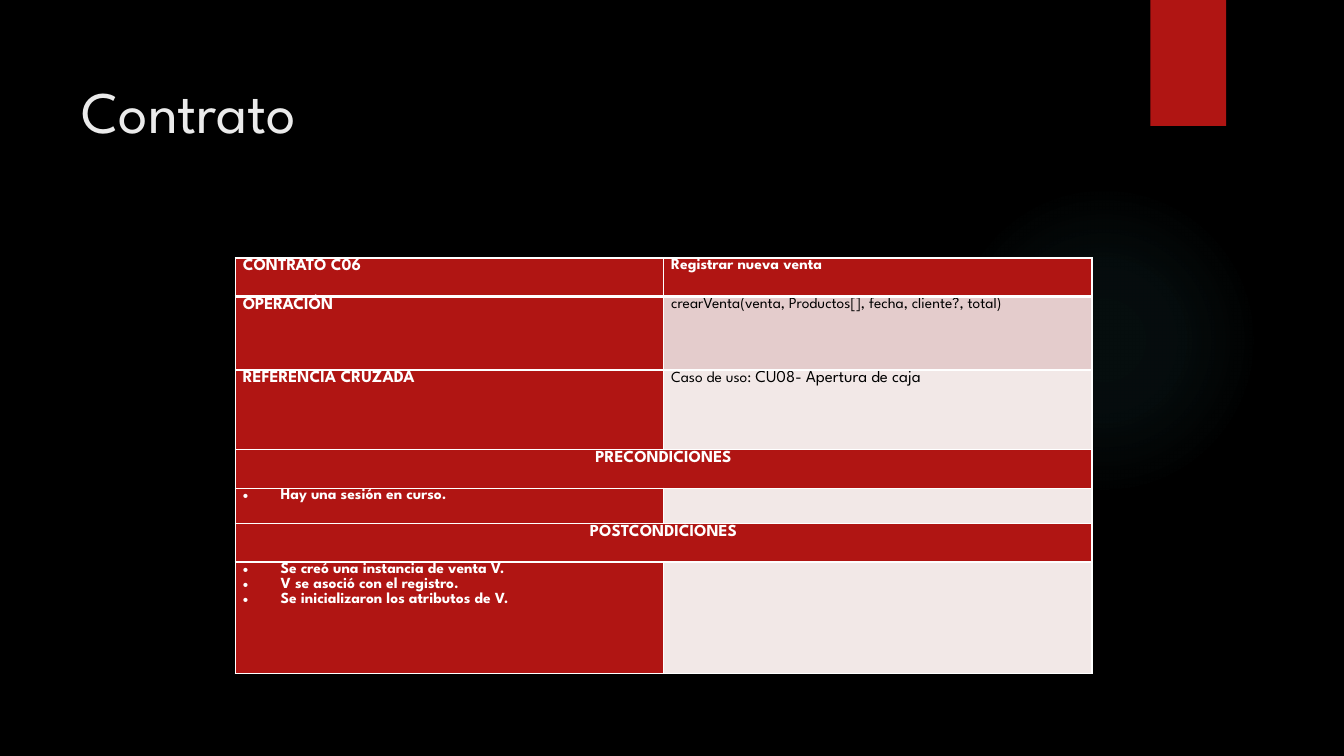
from dataclasses import dataclass
from typing import Any

from lxml.etree import SubElement
from pptx import Presentation
from pptx.dml.color import RGBColor
from pptx.enum.shapes import MSO_SHAPE as Preset
from pptx.enum.text import MSO_ANCHOR as Anchor, PP_ALIGN as Align
from pptx.oxml import parse_xml
from pptx.oxml.ns import nsdecls, qn
from pptx.util import Pt

FONT = "League Spartan"
COLORS = {
    "background": "000000",
    "title": "EBEBEB",
    "accent": "B01513",
    "glow": "50B9C1",
    "white": "FFFFFF",
    "black": "000000",
    "band": "E4CCCC",
    "pale": "F2E8E7",
}
CELL_MARGINS = {
    "margin_left": Pt(5.4),
    "margin_right": Pt(5.4),
    "margin_top": 0,
    "margin_bottom": 0,
}
TITLE_FRAME = {
    "margin_left": Pt(7.2),
    "margin_top": Pt(17),
    "vertical_anchor": Anchor.TOP,
    "word_wrap": True,
}
GLOW_STOPS = ((0, 7), (36, 6), (69, 0))  # position and opacity, in percent
BULLET_INDENT = Pt(27)
COLUMN_WIDTH = 306


@dataclass(frozen=True)
class TextRun:
    text: str
    size: float = 12
    color: str = "white"
    bold: bool = True


@dataclass(frozen=True)
class CellContent:
    lines: tuple[tuple[TextRun, ...], ...] = ()
    fill: str = "accent"
    bulleted: bool = False


@dataclass(frozen=True)
class ContractRow:
    height: float
    cells: tuple[CellContent, ...]  # a single cell spans both columns


def label(text: str, size: float = 12) -> CellContent:
    return CellContent(((TextRun(text, size),),))


def detail(fill: str, *runs: tuple[str, float]) -> CellContent:
    return CellContent(
        (tuple(TextRun(text, size, "black", False) for text, size in runs),), fill)


def conditions(*items: str) -> CellContent:
    return CellContent(tuple((TextRun(item, 11),) for item in items), bulleted=True)


EMPTY = CellContent(fill="pale")
ROWS = (
    ContractRow(27.5, (label("CONTRATO C06"), label("Registrar nueva venta", 11))),
    ContractRow(52.5, (
        label("OPERACIÓN"),
        detail("band", ("crearVenta(venta, Productos[], fecha, cliente?, total)", 11)),
    )),
    ContractRow(57, (
        label("REFERENCIA CRUZADA"),
        detail("pale", ("Caso de uso: ", 11), ("CU08- Apertura de caja", 12)),
    )),
    ContractRow(27.5, (label("PRECONDICIONES"),)),
    ContractRow(25.2, (conditions("Hay una sesión en curso."), EMPTY)),
    ContractRow(27.5, (label("POSTCONDICIONES"),)),
    ContractRow(79.4, (
        conditions(
            "Se creó una instancia de venta V.",
            "V se asoció con el registro.",
            "Se inicializaron los atributos de V.",
        ),
        EMPTY,
    )),
)


def rgb(name: str) -> RGBColor:
    return RGBColor.from_string(COLORS[name])


def apply_format(target: Any, values: dict[str, Any]) -> None:
    for name, value in values.items():
        setattr(target, name, value)


def add_run(paragraph: Any, content: TextRun) -> None:
    run = paragraph.add_run()
    run.text = content.text
    apply_format(run.font, {"name": FONT, "size": Pt(content.size), "bold": content.bold})
    run.font.color.rgb = rgb(content.color)


def add_bullet(paragraph: Any) -> None:
    properties = paragraph._p.get_or_add_pPr()
    properties.set("marL", str(BULLET_INDENT))
    properties.set("indent", str(-BULLET_INDENT))
    SubElement(properties, qn("a:buFont"), typeface="Arial")
    SubElement(properties, qn("a:buChar"), char="•")


def set_borders(cell: Any, widths: dict[str, float]) -> None:
    """Draw white lines on the sides L, R, T, B; they must come before the fill."""
    properties = cell._tc.get_or_add_tcPr()
    for position, (side, width) in enumerate(widths.items()):
        properties.insert(position, parse_xml(
            f'<a:ln{side} {nsdecls("a")} w="{Pt(width)}"><a:solidFill>'
            f'<a:srgbClr val="{COLORS["white"]}"/></a:solidFill></a:ln{side}>'))


def fill_cell(cell: Any, content: CellContent, centred: bool) -> None:
    apply_format(cell, CELL_MARGINS)
    cell.fill.solid()
    cell.fill.fore_color.rgb = rgb(content.fill)
    frame = cell.text_frame
    for index, line in enumerate(content.lines):
        paragraph = frame.add_paragraph() if index else frame.paragraphs[0]
        paragraph.line_spacing = 1.07
        paragraph.alignment = Align.CENTER if centred else Align.LEFT
        if content.bulleted:
            add_bullet(paragraph)
        for run in line:
            add_run(paragraph, run)


def add_contract_table(slide: Any) -> None:
    total_height = sum(row.height for row in ROWS)
    table = slide.shapes.add_table(
        len(ROWS), 2, Pt(168), Pt(184.3), Pt(2 * COLUMN_WIDTH), Pt(total_height)).table
    table.horz_banding = False
    for column in table.columns:
        column.width = Pt(COLUMN_WIDTH)
    for index, row in enumerate(ROWS):
        table.rows[index].height = Pt(row.height)
        spanning = len(row.cells) == 1
        if spanning:
            table.cell(index, 0).merge(table.cell(index, 1))
        for column, content in enumerate(row.cells):
            fill_cell(table.cell(index, column), content, spanning)
        widths = {"L": 1, "R": 1, "T": 3 if index == 1 else 1, "B": 1 if index else 3}
        for column in range(2):
            set_borders(table.cell(index, column), widths)


def add_plain_shape(slide: Any, preset: Preset, left: float, top: float,
                    width: float, height: float, color: str) -> Any:
    shape = slide.shapes.add_shape(preset, Pt(left), Pt(top), Pt(width), Pt(height))
    shape.shadow.inherit = False
    shape.line.fill.background()
    shape.fill.solid()
    shape.fill.fore_color.rgb = rgb(color)
    return shape


def add_glow(slide: Any) -> None:
    glow = add_plain_shape(slide, Preset.OVAL, 677.5, 131.8, 221.8, 221.8, "glow")
    stops = "".join(
        f'<a:gs pos="{position * 1000}"><a:srgbClr val="{COLORS["glow"]}">'
        f'<a:alpha val="{opacity * 1000}"/></a:srgbClr></a:gs>'
        for position, opacity in GLOW_STOPS)
    gradient = parse_xml(
        f'<a:gradFill {nsdecls("a")}><a:gsLst>{stops}</a:gsLst><a:path path="circle">'
        '<a:fillToRect l="50000" t="50000" r="50000" b="50000"/></a:path></a:gradFill>')
    properties = glow._element.spPr
    properties.replace(properties.find(qn("a:solidFill")), gradient)


def set_title(slide: Any, text: str) -> None:
    title = slide.shapes.title
    apply_format(title, {"left": Pt(51.1), "top": Pt(36),
                         "width": Pt(740.9), "height": Pt(110.2)})
    apply_format(title.text_frame, TITLE_FRAME)
    paragraph = title.text_frame.paragraphs[0]
    paragraph.alignment = Align.LEFT
    add_run(paragraph, TextRun(text, 42, "title", False))


def main() -> None:
    presentation = Presentation()
    apply_format(presentation, {"slide_width": Pt(960), "slide_height": Pt(540)})
    slide = presentation.slides.add_slide(presentation.slide_layouts[5])
    slide.background.fill.solid()
    slide.background.fill.fore_color.rgb = rgb("background")
    add_glow(slide)
    add_plain_shape(slide, Preset.RECTANGLE, 821.8, 0, 54, 90, "accent")
    set_title(slide, "Contrato")
    add_contract_table(slide)
    presentation.save("out.pptx")


if __name__ == "__main__":
    main()
